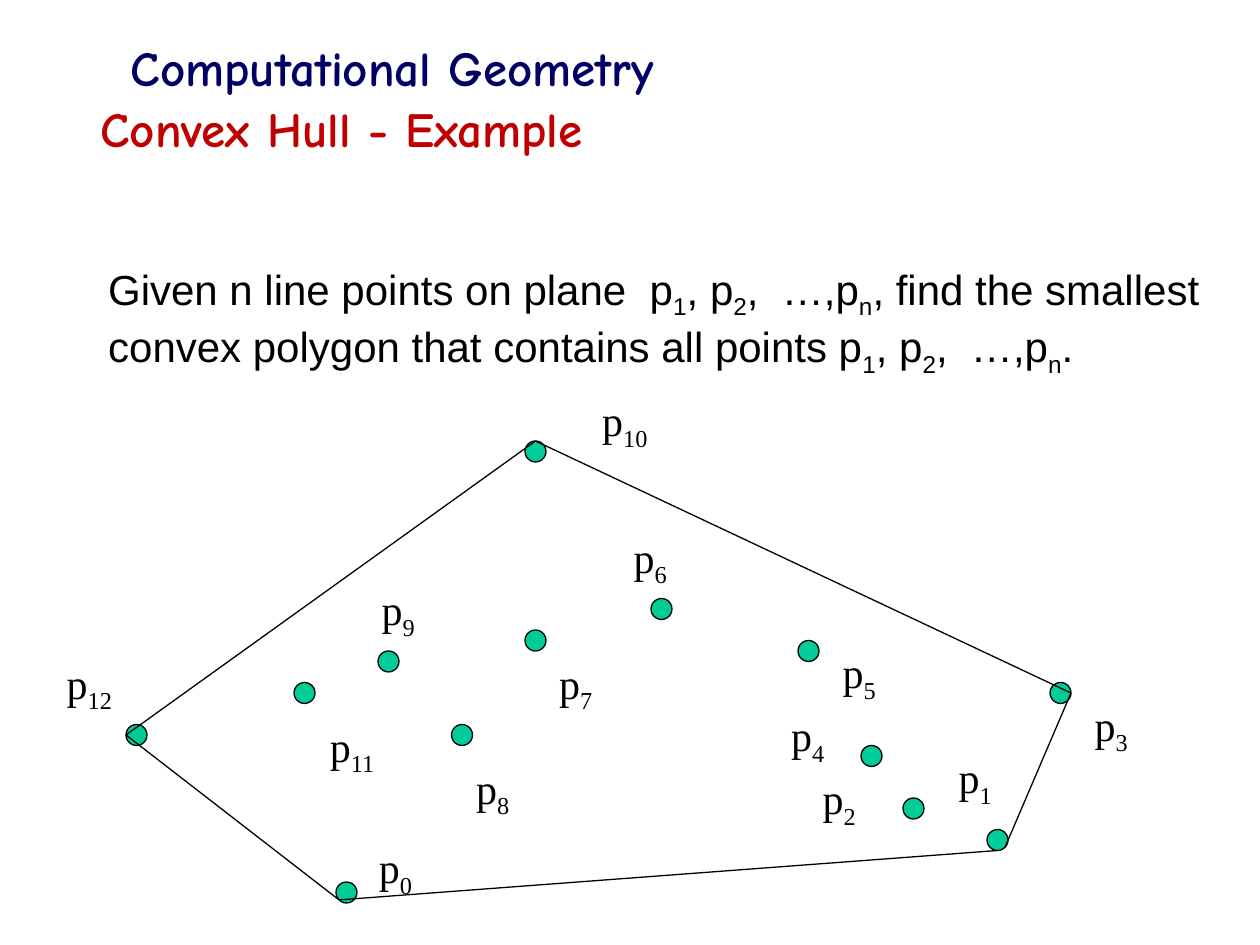
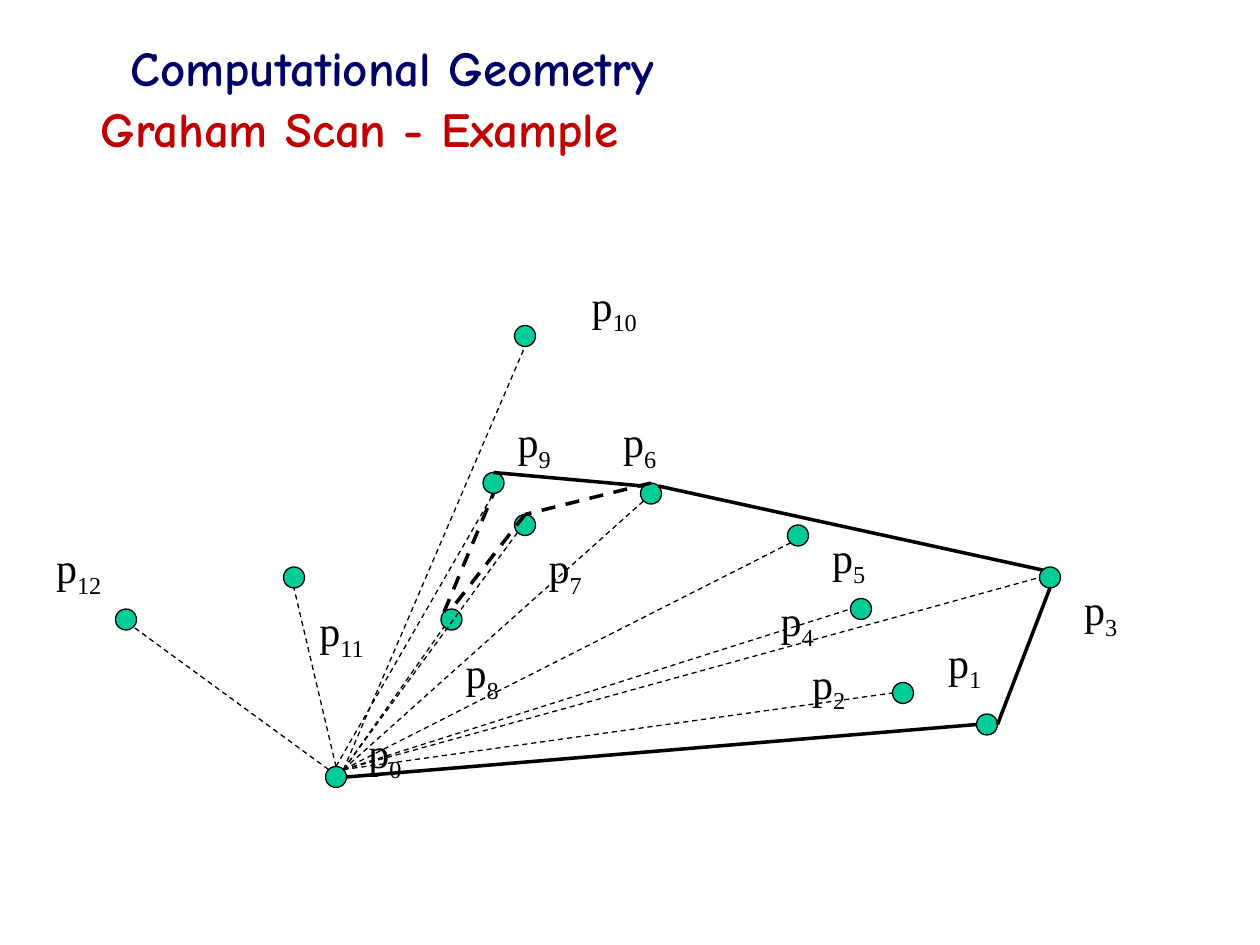
from dataclasses import dataclass, replace
from enum import Enum
from math import cos, radians, sin

from lxml.etree import SubElement
from pptx import Presentation
from pptx.dml.color import RGBColor
from pptx.enum.dml import MSO_LINE
from pptx.enum.shapes import MSO_CONNECTOR, MSO_SHAPE
from pptx.enum.text import MSO_ANCHOR, MSO_AUTO_SIZE
from pptx.oxml.ns import qn
from pptx.slide import Slide
from pptx.util import Pt

NAVY = RGBColor(0x00, 0x00, 0x66)
RED = RGBColor(0xC0, 0x00, 0x00)
BLACK = RGBColor(0x00, 0x00, 0x00)
GREEN = RGBColor(0x00, 0xCC, 0x99)

RADIUS = 6
THIN, THICK = 0.75, 2


class Side(Enum):
    """Where a line meets a dot, as a clockwise angle from the right."""
    R = 0
    BR = 45
    B = 90
    BL = 135
    L = 180
    TL = 225
    T = 270
    TR = 315


R, BR, B, BL, L, TL, T, TR = Side


@dataclass(frozen=True)
class Font:
    name: str
    size: float
    color: RGBColor
    bold: bool = False


@dataclass(frozen=True)
class Box:
    left: float
    top: float
    width: float
    height: float


@dataclass(frozen=True)
class Dot:
    """Centre of a dot and top left corner of its label."""
    x: float
    y: float
    label_x: float
    label_y: float

    def site(self, side: Side) -> tuple[float, float]:
        angle = radians(side.value)
        return self.x + RADIUS * cos(angle), self.y + RADIUS * sin(angle)

    def shift(self, dx: float, dy: float) -> "Dot":
        return Dot(self.x + dx, self.y + dy, self.label_x + dx, self.label_y + dy)


@dataclass(frozen=True)
class Edge:
    start: int
    leave: Side
    end: int
    enter: Side
    width: float = THIN
    dashed: bool = False


HEAD = Font("Comic Neue", 28, NAVY, True)
TITLE = replace(HEAD, color=RED)
BODY = Font("Arial", 24, BLACK)
LABEL = Font("Times New Roman", 24, BLACK)

# Runs alternate between normal text and subscript.
SERIES = ["1", ", p", "2", ",  …,p", "n"]
TASK = [
    ["Given n line points on plane  p", *SERIES, ", find the smallest"],
    ["convex polygon that contains all points p", *SERIES, "."],
]

HULL_DOTS = {
    0: Dot(198, 510, 209.5, 477.5),
    1: Dot(570, 480, 540.7, 426),
    2: Dot(522, 462, 463, 438),
    3: Dot(606, 396, 618.5, 396),
    4: Dot(498, 432, 445, 402),
    5: Dot(462, 372, 474.5, 366),
    6: Dot(378, 348, 355, 300),
    7: Dot(306, 366, 312.5, 372),
    8: Dot(264, 420, 265, 432),
    9: Dot(222, 378, 211, 330),
    10: Dot(306, 258, 337, 222),
    11: Dot(174, 396, 181.5, 408),
    12: Dot(78, 420, 31, 372),
}
SCAN_DOTS = {n: dot.shift(-6, -66) for n, dot in HULL_DOTS.items()}
SCAN_DOTS[4] = replace(SCAN_DOTS[4], y=348)
SCAN_DOTS[9] = Dot(282, 276, 288.7, 234)

HULL = [
    Edge(12, L, 0, BL),
    Edge(0, BL, 1, B),
    Edge(1, BR, 3, R),
    Edge(3, R, 10, T),
    Edge(10, T, 12, L),
]
RAYS = [
    Edge(0, leave, end, enter, dashed=True)
    for leave, end, enter in [
        (TL, 12, BR), (T, 11, B), (T, 9, B), (TR, 10, B), (TR, 8, BL), (TR, 7, BL),
        (TR, 6, BL), (TR, 5, BL), (TR, 4, L), (TR, 3, L), (TR, 2, L),
    ]
]
SCAN = [
    Edge(0, R, 1, L, THICK),
    Edge(1, R, 3, B, THICK),
    Edge(3, TL, 6, TR, THICK),
    Edge(6, T, 7, T, THICK, True),
    Edge(7, T, 8, T, THICK, True),
    Edge(8, TL, 9, B, THICK, True),
    Edge(6, TL, 9, T, THICK),
]


def add_text(slide: Slide, box: Box, lines: list[list[str]], font: Font,
             wrap: bool = False) -> None:
    """Write lines of runs; every second run is a subscript."""
    shape = slide.shapes.add_textbox(
        Pt(box.left), Pt(box.top), Pt(box.width), Pt(box.height))
    frame = shape.text_frame
    frame.word_wrap = wrap
    if wrap:
        frame.vertical_anchor = MSO_ANCHOR.MIDDLE
    else:
        frame.auto_size = MSO_AUTO_SIZE.SHAPE_TO_FIT_TEXT
    for i, runs in enumerate(lines):
        para = frame.add_paragraph() if i else frame.paragraphs[0]
        for j, text in enumerate(runs):
            run = para.add_run()
            run.text = text
            run.font.name = font.name
            run.font.size = Pt(font.size)
            run.font.bold = font.bold
            run.font.color.rgb = font.color
            if j % 2:
                run._r.get_or_add_rPr().set("baseline", "-25000")


def add_dot(slide: Slide, dot: Dot) -> None:
    shape = slide.shapes.add_shape(
        MSO_SHAPE.FLOWCHART_CONNECTOR, Pt(dot.x - RADIUS), Pt(dot.y - RADIUS),
        Pt(2 * RADIUS), Pt(2 * RADIUS))
    shape.shadow.inherit = False
    shape.fill.solid()
    shape.fill.fore_color.rgb = GREEN
    shape.line.color.rgb = BLACK
    shape.line.width = Pt(THIN)


def add_label(slide: Slide, number: int, dot: Dot) -> None:
    width = 40.3 if number > 9 else 33.1
    box = Box(dot.label_x, dot.label_y, width, 40.3)
    add_text(slide, box, [["p", str(number)]], LABEL)


def add_edge(slide: Slide, edge: Edge, dots: dict[int, Dot]) -> None:
    ends = *dots[edge.start].site(edge.leave), *dots[edge.end].site(edge.enter)
    line = slide.shapes.add_connector(MSO_CONNECTOR.STRAIGHT, *map(Pt, ends))
    line.line.color.rgb = BLACK
    line.line.width = Pt(edge.width)
    if edge.dashed:
        line.line.dash_style = MSO_LINE.DASH
    SubElement(line._element.spPr, qn("a:effectLst"))


def add_graph(slide: Slide, dots: dict[int, Dot], edges: list[Edge]) -> None:
    for dot in dots.values():
        add_dot(slide, dot)
    for number, dot in dots.items():
        add_label(slide, number, dot)
    for edge in edges:
        add_edge(slide, edge, dots)


def add_page(deck: Presentation, title: str) -> Slide:
    slide = deck.slides.add_slide(deck.slide_layouts[6])
    add_text(slide, Box(67.7, 18, 314, 41), [["Computational Geometry"]], HEAD)
    add_text(slide, Box(50.4, 56.2, 612, 33.8), [[title]], TITLE, wrap=True)
    return slide


def main() -> None:
    deck = Presentation()
    deck.slide_width, deck.slide_height = Pt(720), Pt(540)

    hull = add_page(deck, "Convex Hull - Example")
    add_text(hull, Box(54.7, 146.9, 638, 72.7), TASK, BODY)
    add_graph(hull, HULL_DOTS, HULL)

    scan = add_page(deck, "Graham Scan - Example")
    add_graph(scan, SCAN_DOTS, RAYS + SCAN)

    deck.save("out.pptx")


if __name__ == "__main__":
    main()
